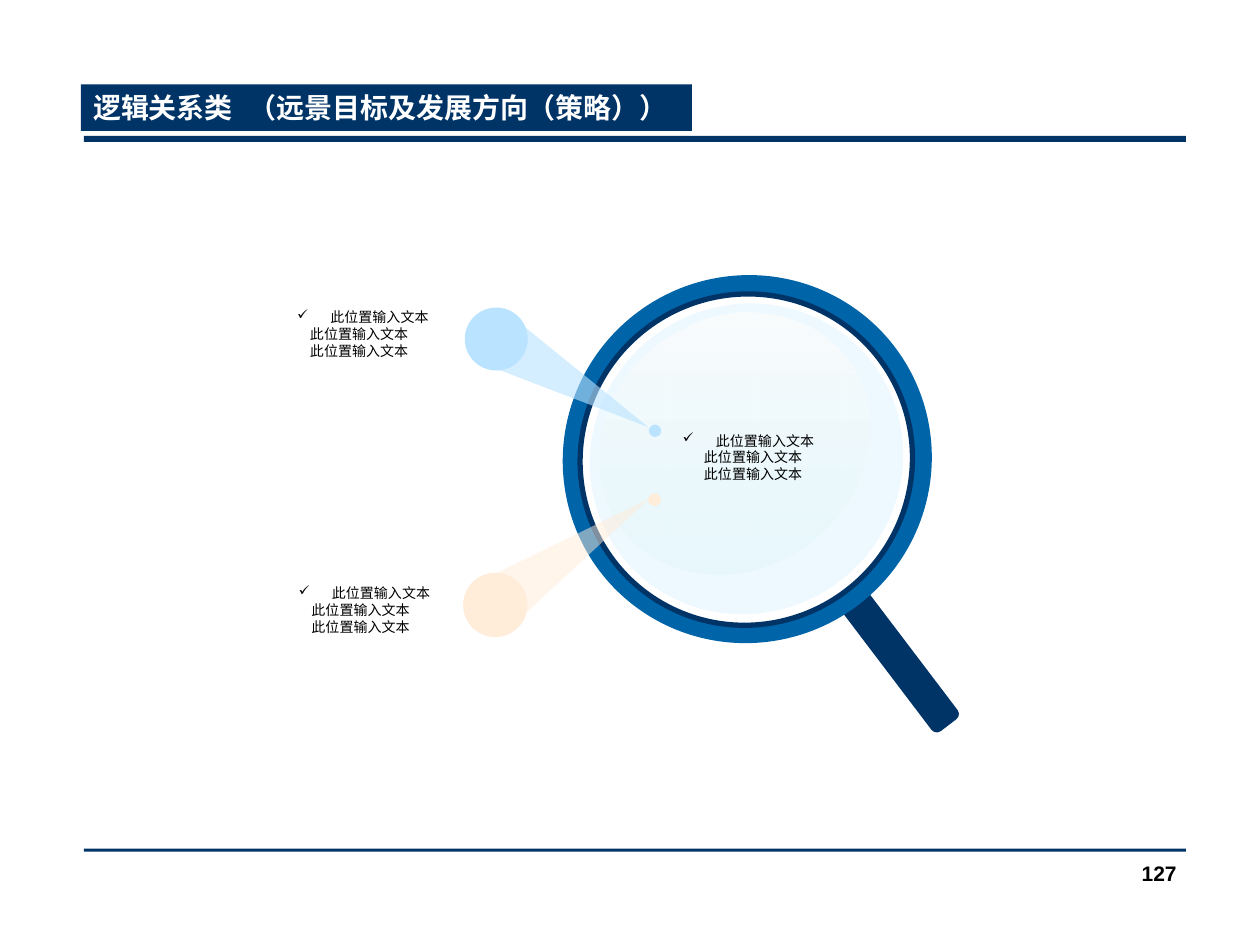
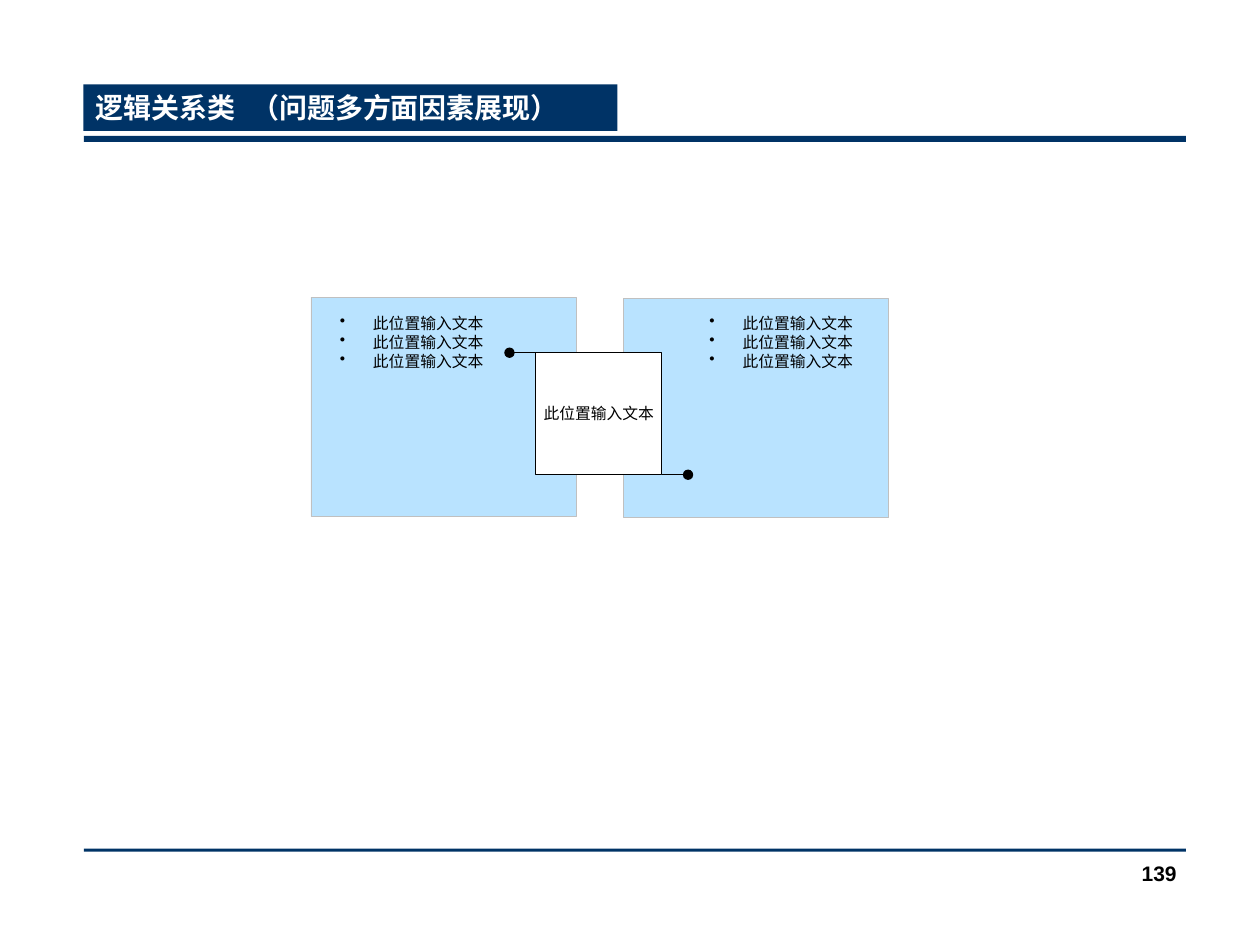
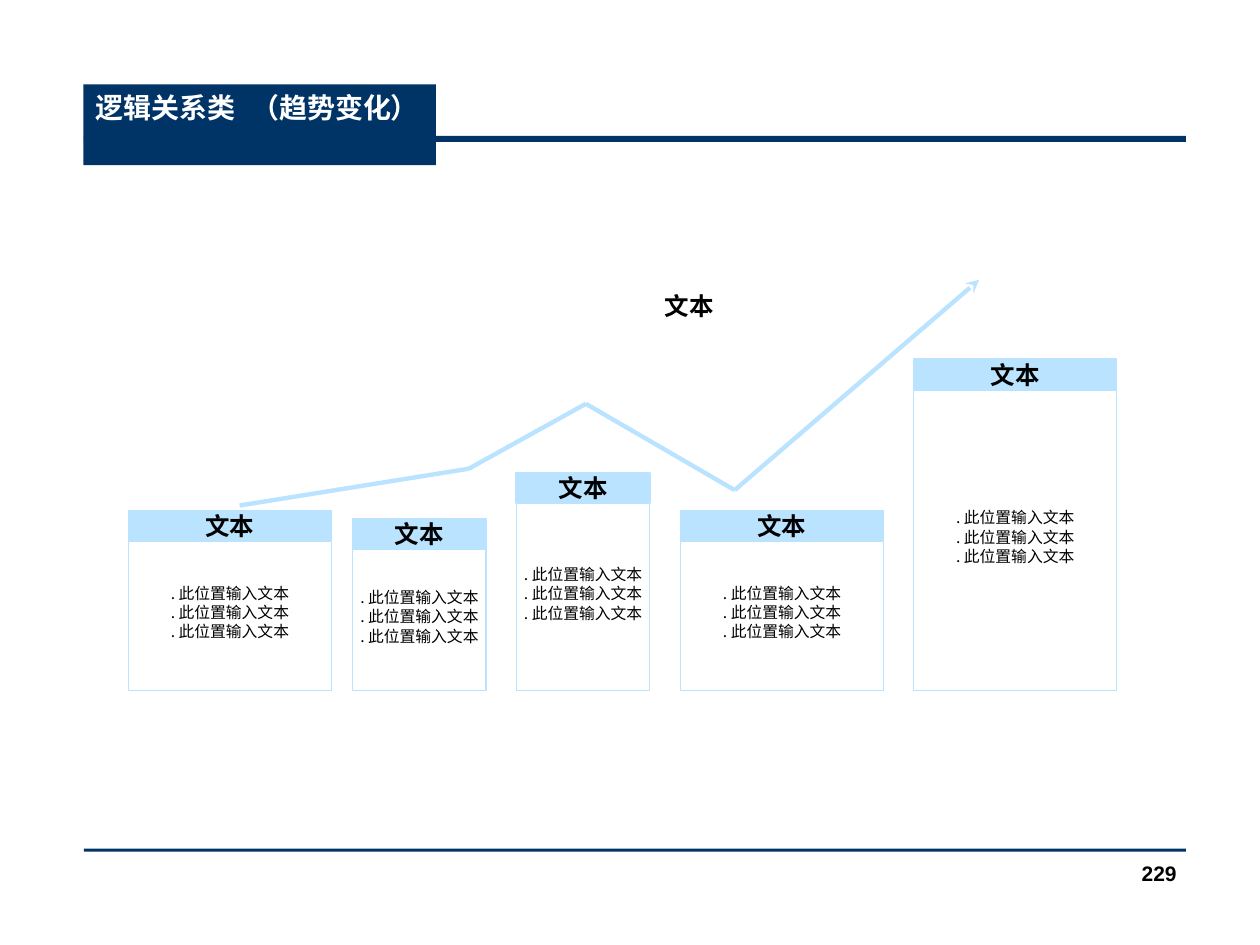
from itertools import pairwise

from lxml.etree import SubElement
from pptx import Presentation
from pptx.dml.color import RGBColor
from pptx.enum.shapes import MSO_CONNECTOR as Connector, MSO_SHAPE as Preset
from pptx.enum.text import MSO_ANCHOR as Anchor, PP_ALIGN as Align
from pptx.oxml.ns import qn
from pptx.util import Cm, Pt

NAVY, BLUE, SKY, PEACH = "003366", "0064A8", "B9E3FF", "FFECD9"
WHITE, BLACK, GREY = "FFFFFF", "000000", "C0C0C0"
SANS, CJK_SANS = "Arial", "Noto Sans CJK SC"
ENTRY = "此位置输入文本"
HANG = 0.67
TILT = 322.8


def colour(hex_text):
    """Turn a hex string into a colour."""
    return RGBColor.from_string(hex_text)


def set_alpha(colour_element, percent):
    """Make a colour element partly transparent."""
    SubElement(colour_element, qn("a:alpha"), val=str(percent * 1000))


def add_shape(slide, preset, box, fill=None, line=None, width=0.75, rotation=0, alpha=None):
    """Add a flat preset shape in a box given in centimetres."""
    shape = slide.shapes.add_shape(preset, *map(Cm, box))
    shape.shadow.inherit = False
    shape.rotation = rotation
    if fill:
        shape.fill.solid()
        shape.fill.fore_color.rgb = colour(fill)
    else:
        shape.fill.background()
    if alpha:
        set_alpha(shape.element.spPr.find(f"{qn('a:solidFill')}/{qn('a:srgbClr')}"), alpha)
    if line:
        shape.line.color.rgb = colour(line)
        shape.line.width = Pt(width)
    else:
        shape.line.fill.background()
    return shape


def add_line(slide, start, end, line, width, arrow=None):
    """Add a straight line with an optional ending."""
    connector = slide.shapes.add_connector(Connector.STRAIGHT, *map(Cm, (*start, *end)))
    connector.line.color.rgb = colour(line)
    connector.line.width = Pt(width)
    properties = connector.element.spPr
    if arrow:
        SubElement(properties.find(qn("a:ln")), qn("a:tailEnd"), type=arrow)
    SubElement(properties, qn("a:effectLst"))


def add_text_box(slide, box):
    """Add an empty text box in a box given in centimetres."""
    return slide.shapes.add_textbox(*map(Cm, box))


def set_indent(paragraph, left, bullet=None):
    """Indent a paragraph, hanging its bullet if it has one."""
    properties = paragraph._p.get_or_add_pPr()
    properties.set("marL", str(Cm(left)))
    properties.set("indent", str(-Cm(left) if bullet else 0))
    if bullet:
        SubElement(properties, qn("a:buChar"), char=bullet)


def write(shape, lines, size, bold=False, ink=BLACK, font=SANS, align=Align.LEFT,
          anchor=Anchor.TOP, wrap=True):
    """Write lines into a shape and return their paragraphs."""
    frame = shape.text_frame
    frame.word_wrap = wrap
    frame.vertical_anchor = anchor
    paragraphs = []
    for index, line in enumerate(lines):
        paragraph = frame.add_paragraph() if index else frame.paragraphs[0]
        paragraph.alignment = align
        run = paragraph.add_run()
        run.text = line
        run.font.name = font
        run.font.size = Pt(size)
        run.font.bold = bold
        run.font.color.rgb = colour(ink)
        paragraphs.append(paragraph)
    return paragraphs


def write_centred(shape, lines, size, **style):
    """Write unwrapped lines in the middle of a shape."""
    return write(shape, lines, size, align=Align.CENTER, anchor=Anchor.MIDDLE, wrap=False, **style)


def write_checked(shape, follow_indent, **style):
    """Write a ticked entry followed by two indented entries."""
    first, *others = write(shape, [ENTRY] * 3, 8, **style)
    set_indent(first, HANG, "✓")
    for paragraph in others:
        set_indent(paragraph, follow_indent)


def add_base_slide(presentation, topic, number, title_box):
    """Add a slide with its title band, rules and page number."""
    slide = presentation.slides.add_slide(presentation.slide_layouts[6])
    for top, height in ((2.74, 0.12), (17.11, 0.06)):
        add_shape(slide, Preset.RECTANGLE, (1.69, top, 22.22, height), NAVY)
    title = add_shape(slide, Preset.RECTANGLE, title_box, NAVY)
    paragraph, = write(title, [f"逻辑关系类\t（{topic}）"], 16, bold=True, ink=WHITE)
    tabs = SubElement(paragraph._p.get_or_add_pPr(), qn("a:tabLst"))
    SubElement(tabs, qn("a:tab"), pos=str(Cm(3.14)), algn="l")
    page = add_text_box(slide, (18.69, 17.22, 5.28, 1.27))
    write(page, [str(number)], 12, bold=True, align=Align.RIGHT)
    return slide


def add_magnifier(slide, left, top):
    """Draw the handle, rim and glass of the magnifier."""
    def tilted(preset, box, *style, **options):
        x, y, width, height = box
        return add_shape(slide, preset, (left + x, top + y, width, height), *style,
                         rotation=TILT, **options)

    handle = tilted(Preset.ROUNDED_RECTANGLE, (6.45, 6.05, 0.66, 3.35), NAVY)
    handle.adjustments[0] = 0.2
    tilted(Preset.OVAL, (0, 0, 7.47, 7.39), BLUE)
    tilted(Preset.OVAL, (0.35, 0.38, 6.73, 6.65), WHITE, NAVY, 3)
    tilted(Preset.OVAL, (0.53, 0.59, 6.38, 6.2), "DDF1FF", alpha=48)
    shine = tilted(Preset.OVAL, (0.63, 0.87, 5.69, 5.03))
    shine.fill.gradient()
    shine.fill.gradient_angle = 270
    for stop, shade in zip(shine.fill.gradient_stops, ("FEFEFE", "DFF6F9")):
        stop.color.rgb = colour(shade)
    gradient = shine.element.spPr.find(qn("a:gradFill"))
    gradient.set("rotWithShape", "0")
    set_alpha(list(gradient.iter(qn("a:srgbClr")))[-1], 50)


def add_beam(slide, left, top, tint, cone, rotation, apex, alpha, dot, line=None):
    """Draw a disc, the cone it casts and the dot the cone points at."""
    cone_x, cone_y, cone_length = cone
    dot_x, dot_y, dot_size = dot
    triangle = add_shape(slide, Preset.ISOSCELES_TRIANGLE,
                         (left + cone_x, top + cone_y, 1.04, cone_length),
                         tint, rotation=rotation, alpha=alpha)
    triangle.adjustments[0] = apex
    add_shape(slide, Preset.OVAL, (left, top, 1.27, 1.27), tint, line)
    add_shape(slide, Preset.OVAL, (left + dot_x, top + dot_y, dot_size, dot_size), tint, line)


def add_vision(slide, left, top):
    """Draw the magnifier with two beams and three texts."""
    for x, y in ((0, 0.54), (0.03, 6.1)):
        write_checked(add_text_box(slide, (left + x, top + y, 3.38, 1.27)), 0.26)
    add_magnifier(slide, left + 5.59, top)
    add_beam(slide, left + 3.61, top + 6, PEACH, (1.9, -2.01, 3.45), 64, 0, 50,
             (3.73, -1.6, 0.23), PEACH)
    add_beam(slide, left + 3.63, top + 0.64, SKY, (1.76, -0.05, 3.28), 120, 0.5, 60,
             (3.71, 2.36, 0.25))
    label = add_shape(slide, Preset.OVAL, (left + 6.1, top + 0.41, 6.5, 6.5))
    write_checked(label, 0.19, align=Align.CENTER, anchor=Anchor.MIDDLE)


def add_factors(slide, left, top):
    """Draw two panels joined by a central box."""
    for x, y in ((0, 0), (6.3, 0.03)):
        add_shape(slide, Preset.RECTANGLE, (left + x, top + y, 5.35, 4.42), SKY, GREY, 0.5)
    for x in (0.33, 7.78):
        box = add_text_box(slide, (left + x, top + 0.21, 3.61, 1.78))
        for paragraph in write(box, [ENTRY] * 3, 9):
            set_indent(paragraph, HANG, "•")
    x, y, width, height, stub = left + 4.53, top + 1.12, 2.54, 2.46, 0.53
    centre = add_shape(slide, Preset.RECTANGLE, (x, y, width, height), WHITE, BLACK)
    write_centred(centre, [ENTRY], 9)
    right, bottom = x + width, y + height
    add_line(slide, (x, y), (x - stub, y), BLACK, 0.75, "oval")
    add_line(slide, (right, bottom), (right + stub, bottom), BLACK, 0.75, "oval")


def add_column(slide, left, top, width, height):
    """Draw a headed column with three entries."""
    header = add_shape(slide, Preset.RECTANGLE, (left, top, width, 0.61), SKY, SKY, 1)
    write_centred(header, ["文本"], 14, bold=True)
    body = add_shape(slide, Preset.RECTANGLE, (left, top + 0.62, width, height - 0.62), WHITE, SKY)
    paragraphs = write_centred(body, [f". {ENTRY}"] * 3, 9, font=CJK_SANS)
    for index, paragraph in enumerate(paragraphs):
        paragraph.line_spacing = 0.5
        if index:
            paragraph.space_before = Pt(5.6)


def add_trend(slide, left, top):
    """Draw columns on one baseline under a rising trend line."""
    baseline, wide, narrow = 6.68, 4.09, 2.69
    columns = ((0, 3.05, wide), (4.52, 3.22, narrow), (7.82, 2.29, narrow),
               (11.13, 3.05, wide), (15.83, 0, wide))
    for x, y, width in columns:
        add_column(slide, left + x, top + y, width, baseline - y)
    turns = ((2.24, 2.95), (6.86, 2.21), (9.22, 0.9), (12.22, 2.64), (17.15, -1.6))
    points = [(left + x, top + y) for x, y in turns]
    for start, end in pairwise(points):
        add_line(slide, start, end, SKY, 2.5, "stealth" if end == points[-1] else None)
    label = add_text_box(slide, (left + 7.62, top - 1.91, 7.37, 1.65))
    write_centred(label, ["文本"], 14, bold=True)


def main():
    """Build the three slides and save them."""
    presentation = Presentation()
    presentation.slide_width, presentation.slide_height = Cm(25.4), Cm(19.05)
    pages = (
        ("远景目标及发展方向（策略）", 127, (1.63, 1.7, 12.32, 0.94), add_vision, (5.74, 5.56)),
        ("问题多方面因素展现", 139, (1.68, 1.7, 10.77, 0.94), add_factors, (6.27, 5.99)),
        ("趋势变化", 229, (1.68, 1.7, 7.11, 1.63), add_trend, (2.59, 7.24)),
    )
    for topic, number, title_box, add_diagram, origin in pages:
        slide = add_base_slide(presentation, topic, number, title_box)
        add_diagram(slide, *origin)
    presentation.save("out.pptx")


if __name__ == "__main__":
    main()
